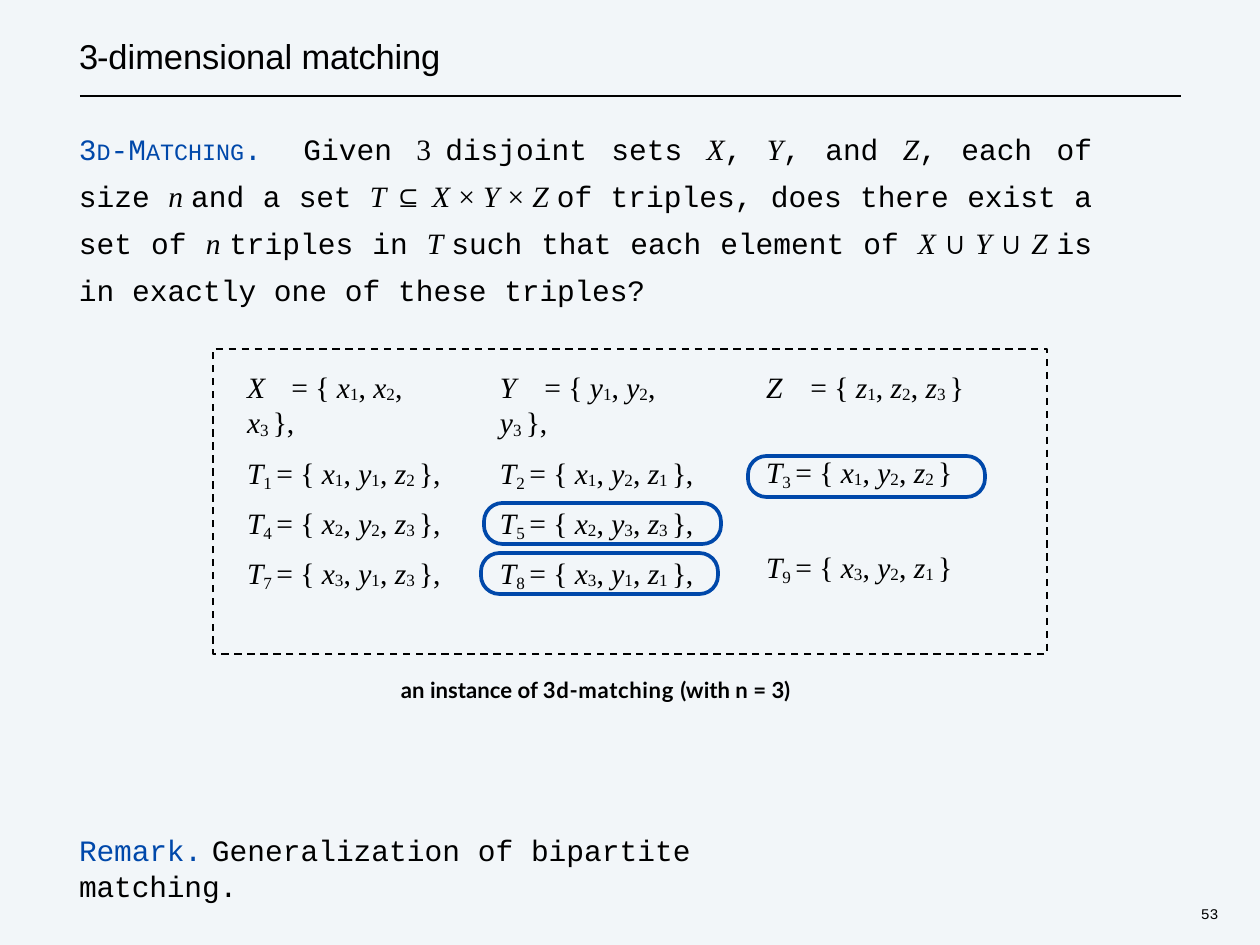
from pptx import Presentation
from pptx.dml.color import RGBColor
from pptx.enum.dml import MSO_LINE
from pptx.enum.shapes import MSO_CONNECTOR, MSO_SHAPE
from pptx.enum.text import MSO_ANCHOR, MSO_AUTO_SIZE, PP_ALIGN
from pptx.oxml.ns import qn
from pptx.util import Pt
from lxml import etree

PX = 10320
BLACK = RGBColor(0x00, 0x00, 0x00)
BLUE = RGBColor(0x00, 0x48, 0xAA)
PAPER = RGBColor(0xF2, 0xF6, 0xF9)
DASH = MSO_LINE.DASH
TOP, NO_FIT = MSO_ANCHOR.TOP, MSO_AUTO_SIZE.NONE
LEFT, JUSTIFY = PP_ALIGN.LEFT, PP_ALIGN.JUSTIFY

# Run styles: font, size, colour, bold, italic, baseline in percent
MONO, SERIF, SANS = "Courier New", "Times New Roman", "Arial"
STYLES = {
    "title": (SANS, 28, BLACK, False, False, 0),
    "label": (MONO, 24, BLUE, False, False, 0),
    "small caps": (MONO, 19, BLUE, False, False, 0),
    "prose": (MONO, 24, BLACK, False, False, 0),
    "math": (SERIF, 24, BLACK, False, False, 0),
    "variable": (SERIF, 24, BLACK, False, True, 0),
    "operator": (SANS, 24, BLACK, False, False, 0),
    "member index": (SERIF, 24, BLACK, False, False, -7),
    "triple index": (SERIF, 24, BLACK, False, False, -17),
    "caption": ("Lato", 18, BLACK, True, False, 0),
    "number": (MONO, 12, BLACK, False, False, 0),
}

# Content: runs are (text, style, letter spacing in points)
TITLE = [("3-", "title", -0.9), ("dimensional ", "title"), ("matching", "title", -0.1)]
PROBLEM = [
    ("3", "label", -0.9), ("D", "small caps", -0.9), ("-", "label", -0.9),
    ("M", "label"), ("ATCHING", "small caps"), (".", "label"), (" ", "label", 14),
    ("Given ", "prose"), ("3 ", "math"), ("disjoint sets ", "prose"),
    ("X", "variable"), (", ", "prose"), ("Y", "variable"), (", and ", "prose"),
    ("Z", "variable"), (", each of size ", "prose"), ("n ", "variable"),
    ("and a ", "prose"), ("set ", "prose", -0.2), ("T ", "variable"),
    ("⊆ ", "operator"), ("X ", "variable"), ("× ", "math"), ("Y ", "variable"),
    ("× ", "math"), ("Z ", "variable"),
    ("of triples, does there exist a set of ", "prose"), ("n ", "variable"),
    ("triples in ", "prose"), ("T ", "variable"), ("such ", "prose"),
    ("that ", "prose", -0.2), ("each element of ", "prose"), ("X ", "variable"),
    ("∪ ", "operator"), ("Y ", "variable"), ("∪ ", "operator"), ("Z ", "variable"),
    ("is in exactly one of these ", "prose"), ("triples?", "prose", -0.1),
]
REMARK = [("Remark.\t", "label", -0.1), ("Generalization of bipartite ", "prose"),
          ("matching.", "prose", -0.1)]
CAPTION = [("an instance of ", "caption"), ("3d-matching ", "caption", 0.5),
           ("(with n = ", "caption"), ("3)", "caption", -0.2)]
SLIDE_NUMBER = [("53", "number", -0.2)]

# Ground sets: name, left, tab stop, closing brace
GROUND_SETS = [("X", 244, 35, "},"), ("Y", 497, 34, "},"), ("Z", 763, 34, "}")]
# Triple boxes: left, top, closing brace, {triple number: indices of x, y, z}
TRIPLE_BOXES = [
    (244, 454, "},", {1: "112", 4: "223", 7: "313"}),
    (497, 454, "},", {2: "121", 5: "233", 8: "311"}),
    (763, 453, "}", {3: "122"}),
    (763, 548, "}", {9: "321"}),
]
CHOSEN_TRIPLES = [(748, 456), (484, 503), (481, 553)]


def set_runs(variables, indices, closing):
    runs = [("= { ", "math")]
    for k, (variable, index) in enumerate(zip(variables, indices)):
        if k:
            runs.append((", ", "math"))
        runs += [(variable, "variable"), (index, "member index")]
    runs[-1] = (runs[-1][0] + " ", "member index")
    return runs + [(closing, "math", -0.5 if closing == "}" else -0.2)]


def add_run(paragraph, text, style, spacing=0):
    family, size, colour, bold, italic, baseline = STYLES[style]
    run = paragraph.add_run()
    run.text = text
    font = run.font
    font.name, font.size, font.bold, font.italic = family, Pt(size), bold, italic
    font.color.rgb = colour
    properties = font._element
    if spacing:
        properties.set("spc", str(round(spacing * 100)))
    if baseline:
        properties.set("baseline", str(baseline * 1000))


def fill_text(shape, paragraphs, inset=1, indent=1, tab=None, align=LEFT,
              line=None, gap=0):
    frame = shape.text_frame
    frame.word_wrap, frame.auto_size, frame.vertical_anchor = True, NO_FIT, TOP
    frame.margin_left = frame.margin_right = frame.margin_bottom = 0
    frame.margin_top = inset * PX
    for k, runs in enumerate(paragraphs):
        paragraph = frame.add_paragraph() if k else frame.paragraphs[0]
        paragraph.alignment = align
        if line:
            paragraph.line_spacing = line
        paragraph.space_before = Pt(gap if k else 0)
        properties = paragraph._p.get_or_add_pPr()
        properties.set("marL", str(indent * PX))
        properties.set("indent", "0")
        if tab:
            tabs = etree.SubElement(properties, qn("a:tabLst"))
            etree.SubElement(tabs, qn("a:tab"), pos=str(tab * PX), algn="l")
        for run in runs:
            add_run(paragraph, *run)


def add_text(slide, box, paragraphs, **layout):
    fill_text(slide.shapes.add_textbox(*(v * PX for v in box)), paragraphs, **layout)


def add_outline(slide, kind, box, colour, width):
    shape = slide.shapes.add_shape(kind, *(v * PX for v in box))
    shape.shadow.inherit = False
    shape.fill.background()
    shape.line.color.rgb, shape.line.width = colour, Pt(width)
    return shape


def main():
    deck = Presentation()
    deck.slide_width, deck.slide_height = 1260 * PX, 945 * PX
    slide = deck.slides.add_slide(deck.slide_layouts[5])
    slide.background.fill.solid()
    slide.background.fill.fore_color.rgb = PAPER

    # Title and rule
    title = slide.shapes.title
    title.left, title.top, title.width, title.height = (v * PX for v in (78, 26, 934, 61))
    fill_text(title, [TITLE], inset=9)
    rule = slide.shapes.add_connector(
        MSO_CONNECTOR.STRAIGHT, 80 * PX, 96 * PX, 1181 * PX, 96 * PX)
    rule.line.color.rgb, rule.line.width = BLACK, Pt(1.5)
    etree.SubElement(rule._element.spPr, qn("a:effectLst"))

    # Problem statement and remark
    add_text(slide, (78, 119, 1014, 143), [PROBLEM], align=JUSTIFY, line=1.32)
    add_text(slide, (78, 831, 667, 38), [REMARK], tab=137)

    # Instance frame, ground sets and triples
    frame = add_outline(slide, MSO_SHAPE.RECTANGLE, (213, 349, 834, 305), BLACK, 1.5)
    frame.line.dash_style = DASH
    for name, left, tab, closing in GROUND_SETS:
        runs = [(name + "\t", "variable", -0.5)] + set_runs(name.lower() * 3, "123", closing)
        add_text(slide, (left, 368, 212, 38), [runs], indent=3, tab=tab)
    for left, top, closing, triples in TRIPLE_BOXES:
        rows = [[("T", "variable"), (f"{number} ", "triple index")]
                + set_runs("xyz", indices, closing)
                for number, indices in triples.items()]
        add_text(slide, (left, top, 211, 50 * len(rows)), rows, indent=3, gap=9.7)

    # Rings around the matching
    for left, top in CHOSEN_TRIPLES:
        ring = add_outline(slide, MSO_SHAPE.ROUNDED_RECTANGLE,
                           (left, top, 237, 41), BLUE, 3)
        ring.adjustments[0] = 0.45

    # Caption and slide number
    add_text(slide, (400, 675, 462, 29), [CAPTION])
    add_text(slide, (1198, 905, 27, 20), [SLIDE_NUMBER], inset=0, indent=3)
    deck.save("out.pptx")


if __name__ == "__main__":
    main()
